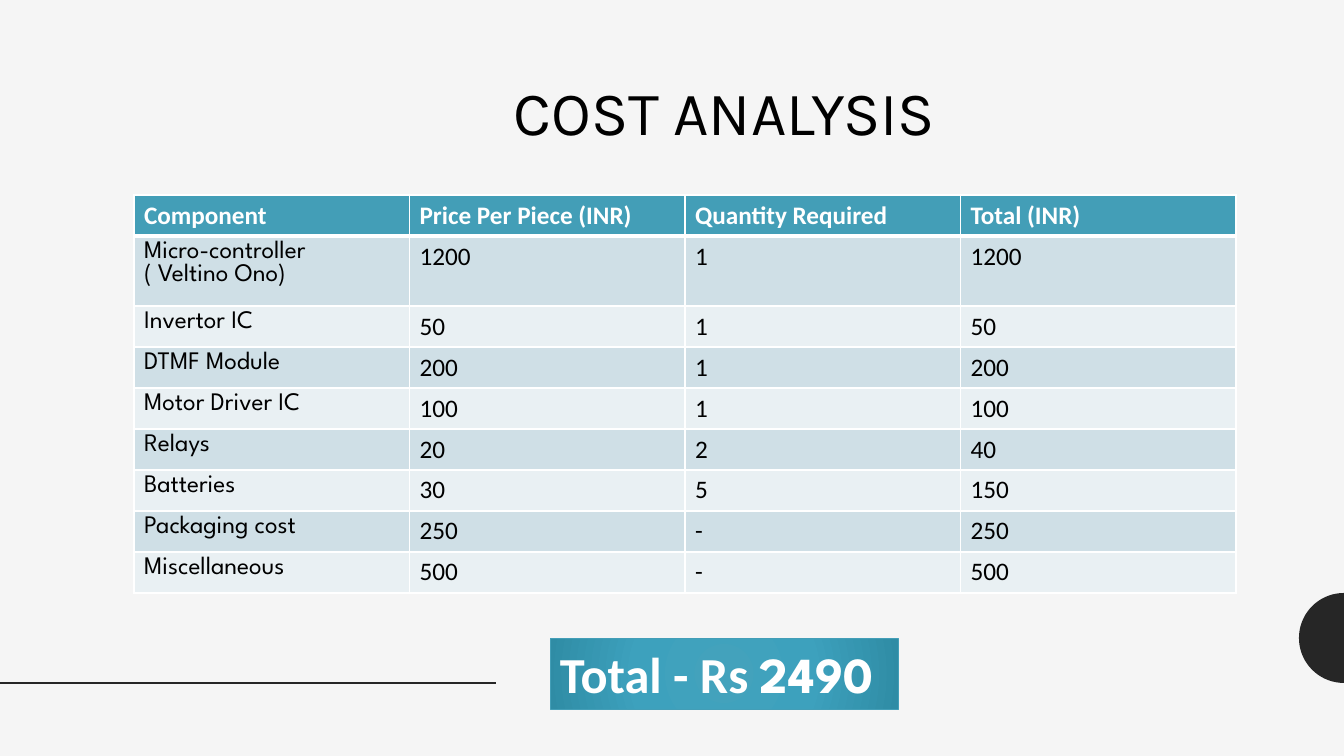
import math
from lxml import etree
from pptx import Presentation, util as u
from pptx.dml import color
from pptx.enum import shapes, text
from pptx.oxml import ns, parse_xml

PX = 914400 / 100.8
ROWS = [
    ("Component", "Price Per Piece (INR)", "Quantity Required", "Total (INR)"),
    ("Micro-controller\n( Veltino Ono)", "1200", "1", "1200"),
    ("Invertor IC", "50", "1", "50"),
    ("DTMF Module", "200", "1", "200"),
    ("Motor Driver IC", "100", "1", "100"),
    ("Relays", "20", "2", "40"),
    ("Batteries", "30", "5", "150"),
    ("Packaging cost", "250", "-", "250"),
    ("Miscellaneous", "500", "-", "500"),
]


def px(*vals):
    """Turn pixel lengths into a list of EMU."""
    return [u.Emu(round(v * PX)) for v in vals]


def paint(fmt, hue):
    """Give a fill or a font one solid hex colour."""
    if hasattr(fmt, "solid"):
        fmt.solid()
        fmt.fore_color.rgb = color.RGBColor.from_string(hue)
    else:
        fmt.color.rgb = color.RGBColor.from_string(hue)


def style(run, face, size, hue, bold=False):
    """Set the font of a run."""
    run.font.name, run.font.size, run.font.bold = face, u.Pt(size), bold
    paint(run.font, hue)


def edge(cell, sides):
    """Draw white borders of the given widths in points on a cell."""
    props = cell._tc.get_or_add_tcPr()
    for spot, (side, wide) in enumerate(sides.items()):
        line = etree.Element(ns.qn("a:ln" + side), w=str(u.Pt(wide)))
        fill = etree.SubElement(line, ns.qn("a:solidFill"))
        etree.SubElement(fill, ns.qn("a:srgbClr"), val="FFFFFF")
        props.insert(spot, line)


def decor(slide, x, y, rad):
    """Draw the half disc centred on x, y and the rule at its foot."""
    arc = [px(x - rad * math.sin(math.pi * k / 36),
              y - rad * math.cos(math.pi * k / 36)) for k in range(37)]
    pen = slide.shapes.build_freeform(*arc[0])
    pen.add_line_segments(arc[1:])
    disc = pen.convert_to_shape()
    disc.shadow.inherit = False
    paint(disc.fill, "262626")
    disc.line.fill.background()
    foot = y + rad
    rule = slide.shapes.add_connector(
        shapes.MSO_CONNECTOR.STRAIGHT, *px(0, foot, 496, foot))
    paint(rule.line.fill, "262626")
    rule.line.width = u.Pt(2)
    etree.SubElement(rule._element.spPr, ns.qn("a:effectLst"))


def head(slide, x, y, w, h):
    """Place the slide title in its box."""
    title = slide.shapes.title
    title.left, title.top, title.width, title.height = px(x, y, w, h)
    frame = title.text_frame
    frame.text = "COST ANALYSIS"
    frame.auto_size = text.MSO_AUTO_SIZE.NONE
    frame.vertical_anchor = text.MSO_ANCHOR.MIDDLE
    frame.paragraphs[0].alignment = text.PP_ALIGN.CENTER
    style(frame.paragraphs[0].runs[0], "Karla", 44, "000000")


def costs(slide, x, y, w, h):
    """Build the cost table, with a taller row for the two-line item."""
    grid = slide.shapes.add_table(len(ROWS), 4, *px(x, y, w, h)).table
    for col in grid.columns:
        col.width = px(w / 4)[0]
    tall = 70
    for r, row in enumerate(ROWS):
        high = tall if r == 1 else (h - tall) / (len(ROWS) - 1)
        grid.rows[r].height = px(high)[0]
        top = r == 0
        back = "439EB7" if top else "CFDFE6" if r % 2 else "E9F0F3"
        for c, words in enumerate(row):
            cell = grid.cell(r, c)
            cell.text_frame.text = words
            face = "Calibri" if top or c else "League Spartan"
            for para in cell.text_frame.paragraphs:
                style(para.runs[0], face, 18, "FFFFFF" if top else "000000", top)
            paint(cell.fill, back)
            edge(cell, {"L": 1, "R": 1, "T": 3 if r == 1 else 1,
                        "B": 3 if top else 1})


def total(slide, x, y, w, h):
    """Draw the shaded box with the grand total."""
    box = slide.shapes.add_shape(
        shapes.MSO_SHAPE.RECTANGLE, *px(x, y, w, h))
    box.shadow.inherit = False
    paint(box.line.fill, "439EB7")
    box.line.width = u.Pt(0.5)
    stops = "".join(
        f'<a:gs pos="{pos}"><a:srgbClr val="{hue}"/></a:gs>' for pos, hue in
        ((0, "43A2BC"), (50000, "3DA1BD"), (100000, "2F8CA5")))
    shade = parse_xml(
        f'<a:gradFill {ns.nsdecls("a")} rotWithShape="1"><a:gsLst>{stops}</a:gsLst>'
        '<a:path path="circle"><a:fillToRect l="50000" t="50000" r="50000"'
        ' b="50000"/></a:path></a:gradFill>')
    box._element.spPr.find(ns.qn("a:prstGeom")).addnext(shade)
    frame = box.text_frame
    frame.word_wrap = True
    frame.vertical_anchor = text.MSO_ANCHOR.MIDDLE
    para = frame.paragraphs[0]
    para.alignment = text.PP_ALIGN.LEFT
    for words, face in (("Total - Rs ", "Calibri"), ("2490", "League Spartan")):
        run = para.add_run()
        run.text = words
        style(run, face, 36, "FFFFFF", True)


def main():
    """Build and save the slide."""
    deck = Presentation()
    deck.slide_width, deck.slide_height = px(1344, 756)
    slide = deck.slides.add_slide(deck.slide_layouts[5])
    paint(slide.background.fill, "F5F5F5")
    decor(slide, 1344, 638, 45)
    head(slide, 462, 27, 525, 168)
    costs(slide, 134, 195, 1102, 398)
    total(slide, 550, 638, 348, 71)
    deck.save("out.pptx")


if __name__ == "__main__":
    main()
